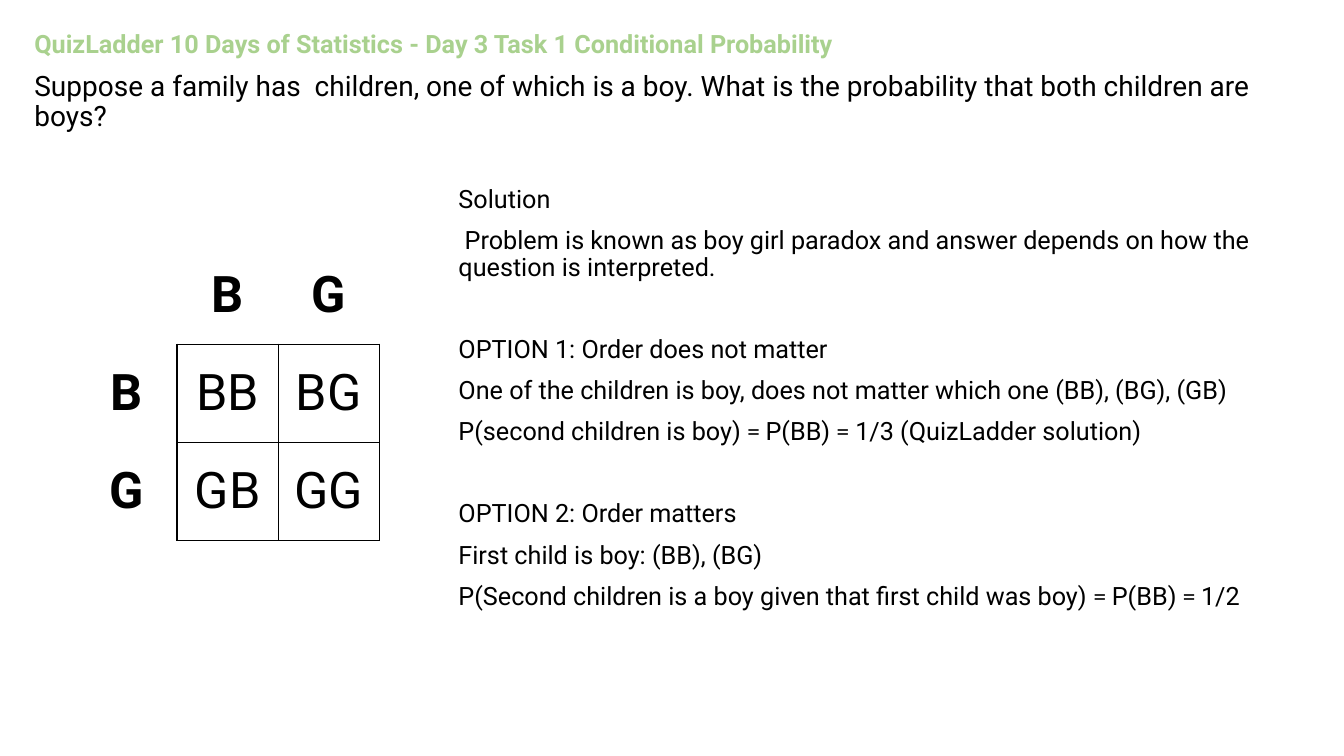
from dataclasses import dataclass

from lxml.etree import SubElement
from pptx import Presentation
from pptx.dml.color import RGBColor
from pptx.enum.text import MSO_ANCHOR, MSO_AUTO_SIZE, PP_ALIGN
from pptx.oxml.ns import qn
from pptx.util import Cm, Pt

BLACK = "000000"
GREEN = "A9D18E"
SECTION_GAP = 39


@dataclass
class Span:
    text: str
    font: str = "Roboto"


@dataclass
class Line:
    spans: list[Span]
    size: float = 18
    color: str = BLACK
    bold: bool = False
    space_before: float = 10


@dataclass
class Area:
    left: float
    top: float
    width: float
    height: float


def rgb(color: str) -> RGBColor:
    return RGBColor.from_string(color)


def add_span(para, span: Span, size: float, color: str, bold: bool) -> None:
    run = para.add_run()
    run.text = span.text
    run.font.name = span.font
    run.font.size = Pt(size)
    run.font.bold = bold
    run.font.color.rgb = rgb(color)


def fill_placeholder(box, area: Area, lines: list[Line]) -> None:
    box.left, box.top = Cm(area.left), Cm(area.top)
    box.width, box.height = Cm(area.width), Cm(area.height)
    frame = box.text_frame
    frame.word_wrap = True
    frame.auto_size = MSO_AUTO_SIZE.NONE
    frame.vertical_anchor = MSO_ANCHOR.TOP
    for index, line in enumerate(lines):
        para = frame.add_paragraph() if index else frame.paragraphs[0]
        para.alignment = PP_ALIGN.LEFT
        para.line_spacing = 0.9
        para.space_before = Pt(line.space_before)
        properties = para._p.get_or_add_pPr()
        properties.set("marL", "0")
        properties.set("indent", "0")
        SubElement(properties, qn("a:buNone"))
        for span in line.spans:
            add_span(para, span, line.size, line.color, line.bold)


def set_border(cell, side: str, visible: bool) -> None:
    border = SubElement(cell._tc.get_or_add_tcPr(), qn(f"a:ln{side}"), w=str(Pt(1)))
    if visible:
        fill = SubElement(border, qn("a:solidFill"))
        SubElement(fill, qn("a:srgbClr"), val=BLACK)
    else:
        SubElement(border, qn("a:noFill"))


def add_outcome_table(page, area: Area, outcomes: list[list[str]]) -> None:
    count = len(outcomes)
    table = page.shapes.add_table(
        count, count, Cm(area.left), Cm(area.top), Cm(area.width), Cm(area.height)
    ).table
    table.first_row = False
    table.horz_banding = False
    for row, labels in enumerate(outcomes):
        for column, label in enumerate(labels):
            cell = table.cell(row, column)
            inner = row > 0 and column > 0
            # Only the edges around the outcome cells are drawn
            edges = {"L": inner, "R": row > 0, "T": inner, "B": column > 0}
            for side, visible in edges.items():
                set_border(cell, side, visible)
            cell.fill.background()
            cell.vertical_anchor = MSO_ANCHOR.MIDDLE
            para = cell.text_frame.paragraphs[0]
            para.alignment = PP_ALIGN.CENTER
            if label:
                add_span(para, Span(label), 36, BLACK, not inner)


HEADING = [
    Line([Span("QuizLadder 10 Days of Statistics - Day 3 Task 1 Conditional Probability")],
         color=GREEN, bold=True),
    Line([Span("Suppose a family has  children, one of which is a boy. "
               "What is the probability that both children are boys?")], size=20),
]

SOLUTION = [
    Line([Span("Solution")]),
    Line([Span(" Problem is known as boy girl paradox and answer depends on "
               "how the question is interpreted.")]),
    Line([Span("OPTION 1: Order does not matter")], space_before=SECTION_GAP),
    Line([Span("One of the children is boy, does not matter which one (BB), (BG), (GB)")]),
    Line([Span("P(second children is boy) "), Span("= ", "Calibri"), Span("P(BB) "),
          Span("=", "Calibri"), Span(" 1/3 (QuizLadder solution)")]),
    Line([Span("OPTION 2: Order matters")], space_before=SECTION_GAP),
    Line([Span("First child is boy: (BB), (BG)")]),
    Line([Span("P(Second children is a boy given that first child was boy) "),
          Span("= ", "Calibri"), Span("P(BB) "), Span("= ", "Calibri"), Span("1/2")]),
]

CHILDREN = ["B", "G"]
OUTCOMES = [["", *CHILDREN]] + [
    [first, *(first + second for second in CHILDREN)] for first in CHILDREN
]


def main() -> None:
    deck = Presentation()
    deck.slide_width, deck.slide_height = Cm(33.87), Cm(19.05)
    page = deck.slides.add_slide(deck.slide_layouts[1])

    # Question and solution
    fill_placeholder(page.shapes.title, Area(0.61, 0.66, 32.59, 3), HEADING)
    fill_placeholder(page.placeholders[1], Area(11.3, 4.57, 21.03, 13.06), SOLUTION)

    # Outcomes for two children
    add_outcome_table(page, Area(1.91, 6.2, 7.65, 7.42), OUTCOMES)

    deck.save("out.pptx")


if __name__ == "__main__":
    main()
